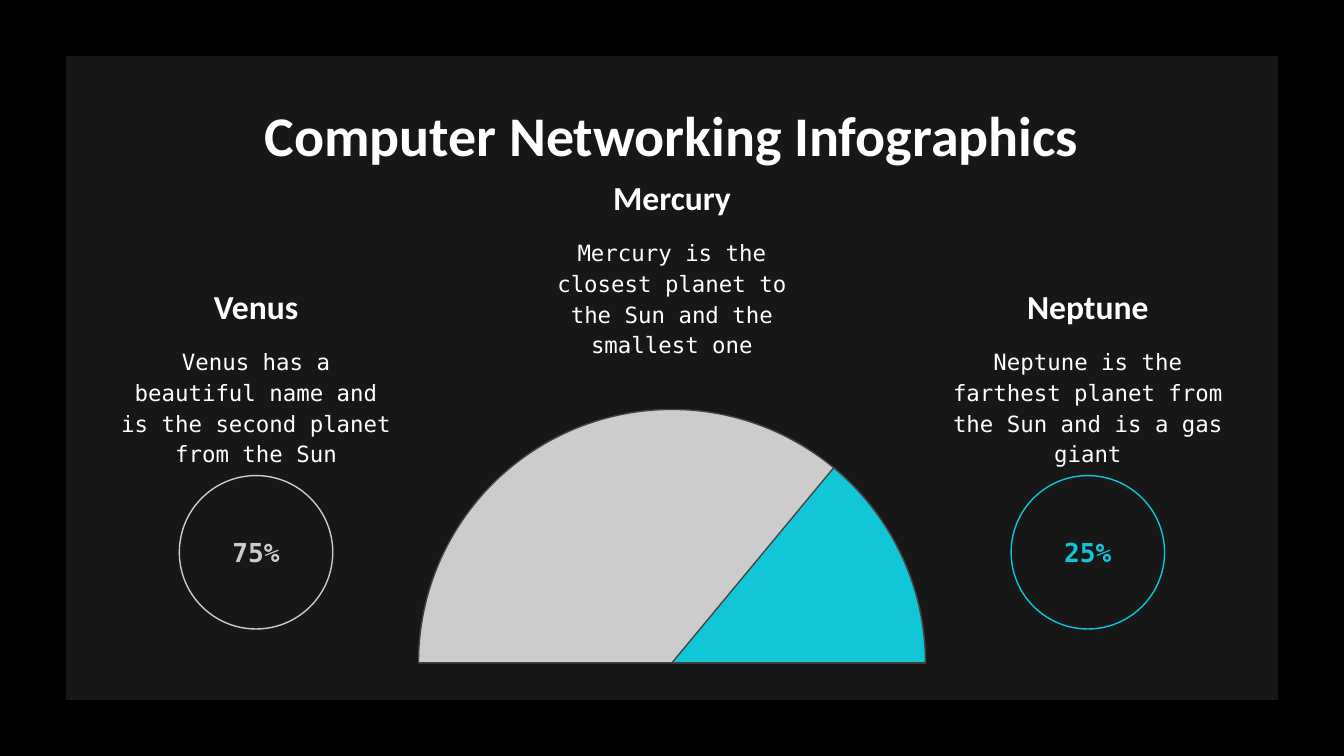
from dataclasses import dataclass

from pptx import Presentation
from pptx.dml.color import RGBColor
from pptx.enum.shapes import MSO_SHAPE
from pptx.enum.text import MSO_ANCHOR, PP_ALIGN
from pptx.util import Cm, Pt


@dataclass(frozen=True)
class Theme:
    background: str = "000000"
    panel: str = "171717"
    text: str = "FFFFFF"
    outline: str = "434343"
    venus: str = "CCCCCC"
    neptune: str = "11C7D7"
    heading_font: str = "Calibri"
    body_font: str = "DejaVu Sans Mono"
    title_size: int = 30
    heading_size: int = 18
    body_size: int = 12
    percent_size: int = 14
    line_width: float = 0.75


THEME = Theme()
PAGE_WIDTH, PAGE_HEIGHT = 25.4, 14.29
CENTER = PAGE_WIDTH / 2
SIDE_OFFSET = 7.86
COLUMN_WIDTH = 5.72
CIRCLE_SIZE = 2.9
PIE_SIZE = 9.58


def write_text(shape, text, *, size, font=THEME.body_font, color=THEME.text,
               bold=False, anchor=MSO_ANCHOR.TOP, line_spacing=None, space_after=None):
    frame = shape.text_frame
    frame.word_wrap = True
    frame.vertical_anchor = anchor
    frame.margin_left = frame.margin_right = Cm(0.25)
    frame.margin_top = frame.margin_bottom = Cm(0.25)
    para = frame.paragraphs[0]
    para.alignment = PP_ALIGN.CENTER
    para.line_spacing = line_spacing
    para.space_after = space_after
    span = para.add_run()
    span.text = text
    span.font.name = font
    span.font.size = Pt(size)
    span.font.bold = bold
    span.font.color.rgb = RGBColor.from_string(color)


def add_text(page, text, center, top, width, height, **style):
    box = page.shapes.add_textbox(Cm(center - width / 2), Cm(top), Cm(width), Cm(height))
    write_text(box, text, **style)


def add_figure(page, kind, center, top, width, height, fill=None, line=None):
    shape = page.shapes.add_shape(
        kind, Cm(center - width / 2), Cm(top), Cm(width), Cm(height))
    shape.shadow.inherit = False
    if fill:
        shape.fill.solid()
        shape.fill.fore_color.rgb = RGBColor.from_string(fill)
    else:
        shape.fill.background()
    if line:
        shape.line.color.rgb = RGBColor.from_string(line)
        shape.line.width = Pt(THEME.line_width)
    else:
        shape.line.fill.background()
    return shape


def add_pie(page, start_degrees, color):
    pie = add_figure(page, MSO_SHAPE.PIE, CENTER, 7.74, PIE_SIZE, PIE_SIZE,
                     fill=color, line=THEME.outline)
    pie.adjustments[0] = start_degrees * 0.6
    pie.adjustments[1] = 0


def add_planet(page, name, description, center, top):
    add_text(page, name, center, top, COLUMN_WIDTH, 0.91, size=THEME.heading_size,
             font=THEME.heading_font, bold=True, anchor=MSO_ANCHOR.BOTTOM)
    add_text(page, description, center, top + 0.74, COLUMN_WIDTH, 1.93,
             size=THEME.body_size, line_spacing=1.15, space_after=Pt(12))


def add_percent(page, text, center, color):
    circle = add_figure(page, MSO_SHAPE.OVAL, center, 8.99, CIRCLE_SIZE, CIRCLE_SIZE,
                        line=color)
    write_text(circle, text, size=THEME.percent_size, color=color, bold=True,
               anchor=MSO_ANCHOR.MIDDLE)


def main():
    deck = Presentation()
    deck.slide_width, deck.slide_height = Cm(PAGE_WIDTH), Cm(PAGE_HEIGHT)
    page = deck.slides.add_slide(deck.slide_layouts[6])
    page.background.fill.solid()
    page.background.fill.fore_color.rgb = RGBColor.from_string(THEME.background)

    add_figure(page, MSO_SHAPE.RECTANGLE, CENTER, 1.06, 22.91, 12.17, fill=THEME.panel)
    add_text(page, "Computer Networking Infographics", CENTER, 1.65, 21.41, 1.6,
             size=THEME.title_size, font=THEME.heading_font, bold=True)

    add_pie(page, 180, THEME.venus)
    add_pie(page, 309.66, THEME.neptune)

    planets = [
        ("Mercury", "Mercury is the closest planet to the Sun and the smallest one",
         CENTER, 3.45),
        ("Venus", "Venus has a beautiful name and is the second planet from the Sun",
         CENTER - SIDE_OFFSET, 5.51),
        ("Neptune", "Neptune is the farthest planet from the Sun and is a gas giant",
         CENTER + SIDE_OFFSET, 5.51),
    ]
    for name, description, center, top in planets:
        add_planet(page, name, description, center, top)

    add_percent(page, "75%", CENTER - SIDE_OFFSET, THEME.venus)
    add_percent(page, "25%", CENTER + SIDE_OFFSET, THEME.neptune)
    deck.save("out.pptx")


if __name__ == "__main__":
    main()
